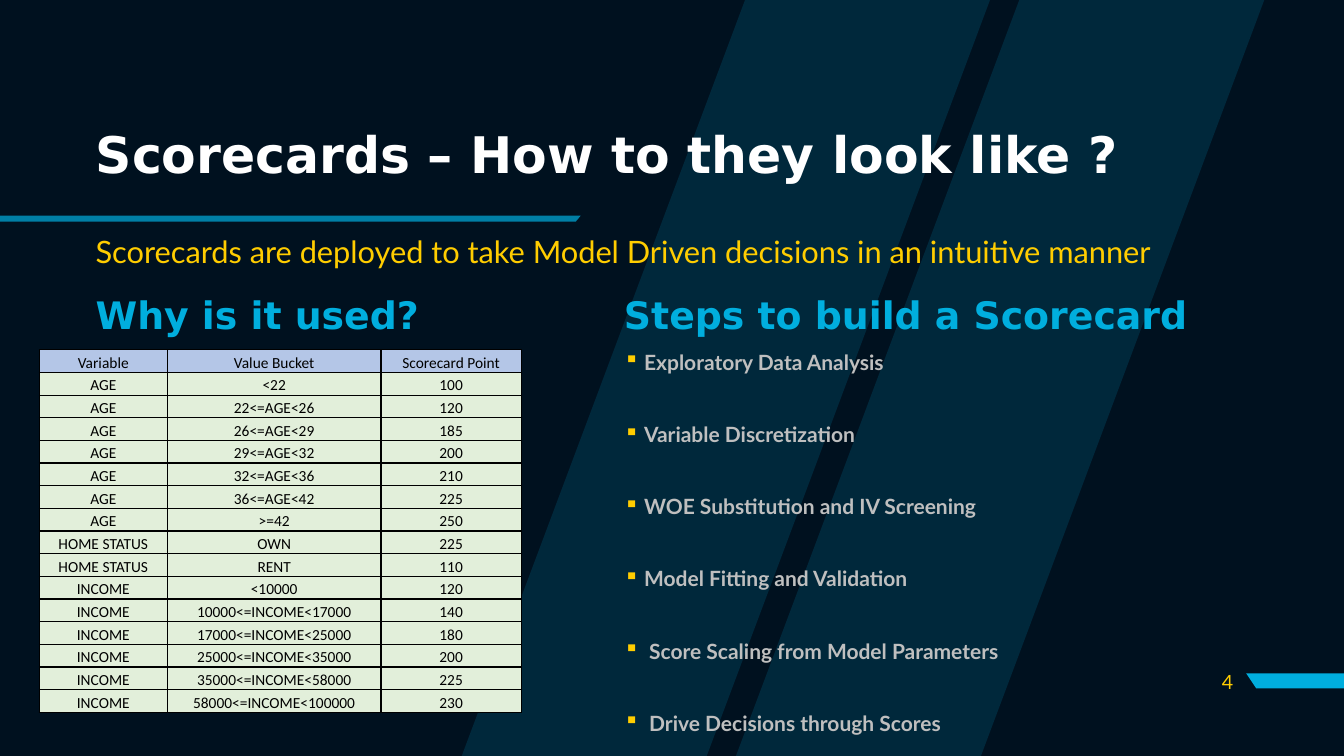
from lxml import etree
from pptx import Presentation
from pptx.dml.color import RGBColor
from pptx.enum.text import MSO_ANCHOR, MSO_AUTO_SIZE, PP_ALIGN
from pptx.oxml.ns import qn
from pptx.util import Inches, Pt

LEFT, CENTER, RIGHT = PP_ALIGN.LEFT, PP_ALIGN.CENTER, PP_ALIGN.RIGHT
TOP, MIDDLE, BOTTOM = MSO_ANCHOR.TOP, MSO_ANCHOR.MIDDLE, MSO_ANCHOR.BOTTOM
NO_FIT = MSO_AUTO_SIZE.NONE
NAVY = RGBColor(0x00, 0x11, 0x1F)
CYAN = RGBColor(0x00, 0xAE, 0xDE)
GOLD = RGBColor(0xFF, 0xCD, 0x00)
WHITE = RGBColor(0xFF, 0xFF, 0xFF)
GRAY = RGBColor(0xBF, 0xBF, 0xBF)
BLACK = RGBColor(0, 0, 0)
BLUE = RGBColor(0xB4, 0xC6, 0xE7)
GREEN = RGBColor(0xE2, 0xEF, 0xDA)
HEAD, BODY, GRID = "DejaVu Sans", "Lato", "Calibri"

TITLE = "Scorecards – How to they look like ?"
LEAD = "Scorecards are deployed to take Model Driven decisions in an intuitive manner"
HEADS = [("Why is it used?", 0.85, 4.77), ("Steps to build a Scorecard", 6.09, 5.88)]
PAGE = "4"
STEPS = [
    "Exploratory Data Analysis",
    "Variable Discretization",
    "WOE Substitution and IV Screening",
    "Model Fitting and Validation",
    " Score Scaling from Model Parameters",
    " Drive Decisions through Scores",
]
COLS = [("Variable", 1.27), ("Value Bucket", 2.12), ("Scorecard Point", 1.39)]
SCORES = [
    ("AGE", [("<22", 100), ("22<=AGE<26", 120), ("26<=AGE<29", 185),
             ("29<=AGE<32", 200), ("32<=AGE<36", 210), ("36<=AGE<42", 225),
             (">=42", 250)]),
    ("HOME STATUS", [("OWN", 225), ("RENT", 110)]),
    ("INCOME", [("<10000", 120), ("10000<=INCOME<17000", 140),
                ("17000<=INCOME<25000", 180), ("25000<=INCOME<35000", 200),
                ("35000<=INCOME<58000", 225), ("58000<=INCOME<100000", 230)]),
]
BANDS = [
    ([[(10.11, 0), (7.3, 7.5), (9.73, 7.5), (12.54, 0)],
      [(4.58, 7.5), (7.01, 7.5), (9.82, 0), (7.39, 0)]], 15),
    ([[(13.33, 6.68), (13.33, 6.83), (12.46, 6.83), (12.36, 6.68)]], 100),
    ([[(0, 2.14), (0, 2.2), (5.71, 2.2), (5.76, 2.14)]], 70),
]

prs = Presentation()
prs.slide_width, prs.slide_height = Inches(13.33), Inches(7.5)
slide = prs.slides.add_slide(prs.slide_layouts[5])
slide.background.fill.solid()
slide.background.fill.fore_color.rgb = NAVY


def band(parts, alpha):
    parts = [[(Inches(x), Inches(y)) for x, y in part] for part in parts]
    form = slide.shapes.build_freeform(*parts[0][0])
    for i, part in enumerate(parts):
        if i:
            form.move_to(*part[0])
        form.add_line_segments(part[1:], close=True)
    shape = form.convert_to_shape()
    shape.shadow.inherit = False
    shape.fill.solid()
    shape.fill.fore_color.rgb = CYAN
    shape.line.fill.background()
    if alpha < 100:
        tint = next(shape._element.iter(qn("a:srgbClr")))
        etree.SubElement(tint, qn("a:alpha"), val=str(alpha * 1000))


def style(para, font, size, color, bold=False, align=LEFT, space=None):
    para.alignment = align
    para.line_spacing = space
    for run in para.runs:
        run.font.name, run.font.size = font, Pt(size)
        run.font.color.rgb, run.font.bold = color, bold


def place(shape, box, text, anchor, *look, **more):
    shape.left, shape.top, shape.width, shape.height = map(Inches, box)
    frame = shape.text_frame
    frame.text = text
    frame.word_wrap, frame.auto_size = True, NO_FIT
    frame.vertical_anchor = anchor
    for para in frame.paragraphs:
        style(para, *look, **more)
    return frame


def write(box, *args, **more):
    shape = slide.shapes.add_textbox(*map(Inches, box))
    return place(shape, box, *args, **more)


def bullet(para):
    props = para._p.get_or_add_pPr()
    props.set("marL", str(Inches(0.2)))
    props.set("indent", str(Inches(-0.2)))
    color = etree.SubElement(props, qn("a:buClr"))
    etree.SubElement(color, qn("a:srgbClr"), val=str(GOLD))
    etree.SubElement(props, qn("a:buChar"), char="▪")


def border(cell):
    props = cell._tc.get_or_add_tcPr()
    for i, side in enumerate(("lnL", "lnR", "lnT", "lnB")):
        line = etree.Element(qn("a:" + side), w=str(Pt(1)))
        fill = etree.SubElement(line, qn("a:solidFill"))
        etree.SubElement(fill, qn("a:srgbClr"), val=str(BLACK))
        props.insert(i, line)


for parts, alpha in BANDS:
    band(parts, alpha)

title = slide.shapes.title
slide.shapes._spTree.append(title._element)
place(title, (0.85, 1.13, 10.89, 0.86), TITLE, MIDDLE, HEAD, 36, WHITE, True, space=0.9)
write((0.85, 2.3, 11.18, 0.86), LEAD, TOP, BODY, 22, GOLD, space=0.9)
for text, left, width in HEADS:
    write((left, 2.9, width, 0.5), text, TOP, HEAD, 27, CYAN, True, space=0.9)
write((11.73, 6.56, 0.6, 0.4), PAGE, MIDDLE, BODY, 14, GOLD, align=RIGHT)

rows = [[name for name, _ in COLS]]
rows += [[name, span, str(score)] for name, spans in SCORES for span, score in spans]
width = sum(wide for _, wide in COLS)
table = slide.shapes.add_table(len(rows), len(COLS), Inches(0.39), Inches(3.47),
                               Inches(width), Inches(3.6)).table
table.first_row = table.horz_banding = False
for col, (_, wide) in zip(table.columns, COLS):
    col.width = Inches(wide)
for r, row in enumerate(rows):
    for c, text in enumerate(row):
        cell = table.cell(r, c)
        cell.text = text
        cell.vertical_anchor = BOTTOM
        cell.margin_left = cell.margin_right = cell.margin_top = Inches(0.01)
        cell.margin_bottom = 0
        cell.fill.solid()
        cell.fill.fore_color.rgb = GREEN if r else BLUE
        border(cell)
        style(cell.text_frame.paragraphs[0], GRID, 11, BLACK, align=CENTER)

steps = write((6.09, 3.39, 4.77, 2.55), "\n".join(STEPS), TOP, BODY, 15, GRAY, True, space=1.1)
for i, para in enumerate(steps.paragraphs):
    if i:
        para.space_before = Pt(31.8)
    bullet(para)

prs.save("out.pptx")
